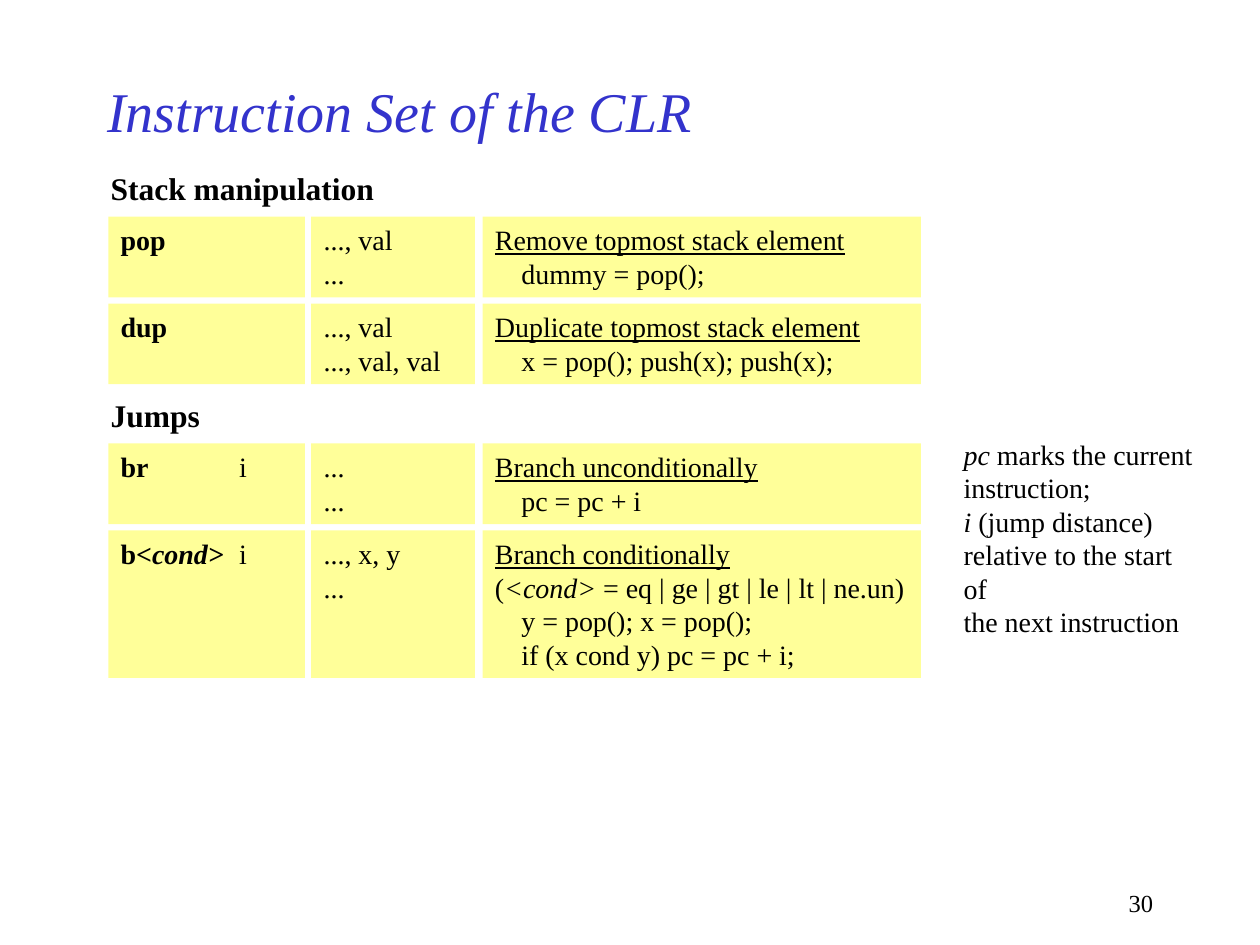
"""Build the slide on stack and jump instructions of the CLR."""
from dataclasses import dataclass

import pptx
import pptx.dml.color
import pptx.enum.shapes
import pptx.enum.text
import pptx.oxml
import pptx.oxml.ns
import pptx.util
from lxml import etree

Inches = pptx.util.Inches
Pt = pptx.util.Pt
ALIGN = pptx.enum.text.PP_ALIGN
ANCHOR = pptx.enum.text.MSO_ANCHOR
qn = pptx.oxml.ns.qn


@dataclass(frozen=True)
class Theme:
    """Font, colours and type sizes of the slide."""
    font: str = "Times New Roman"
    title: str = "3333CC"
    ink: str = "000000"
    cell: str = "FFFF99"
    title_size: int = 32
    heading_size: int = 18
    body_size: int = 16
    number_size: int = 14


THEME = Theme()
COLUMNS = ((0.86, 1.56, 0.94), (2.47, 1.3, None), (3.83, 3.48, 0.21))
HEADING_LEFT = 0.78
HEADING_DROP = 0.43
ROW_GAP = 0.05

SECTIONS = (
    ("Stack manipulation", 1.29, (
        (0.64, (
            [[("pop", "b")]],
            [[("..., val", "")], [("...", "")]],
            [[("Remove topmost stack element", "u")],
             [("\tdummy = pop();", "")]])),
        (0.64, (
            [[("dup", "b")]],
            [[("..., val", "")], [("..., val, val", "")]],
            [[("Duplicate topmost stack element", "u")],
             [("\tx = pop(); push(x); push(x);", "")]])),
    )),
    ("Jumps", 3.09, (
        (0.64, (
            [[("br\t", "b"), ("i", "")]],
            [[("...", "")], [("...", "")]],
            [[("Branch unconditionally", "u")],
             [("\tpc = pc + i", "")]])),
        (1.17, (
            [[("b", "b"), ("<cond>\t", "bi"), ("i", "")]],
            [[("..., x, y", "")], [("...", "")]],
            [[("Branch conditionally", "u")],
             [("(", ""), ("<cond>", "i"),
              (" = eq | ge | gt | le | lt | ne.un)", "")],
             [("\ty = pop(); x = pop();", "")],
             [("\tif (x cond y) pc = pc + i;", "")]])),
    )),
)

JUMP_NOTE = [
    [("pc", "i"), (" marks the current\ninstruction;", "")],
    [("i", "i"),
     (" (jump distance)\nrelative to the start of\nthe next instruction", "")],
]


def style_run(run, size, color, style=""):
    """Format a run; style holds any of the letters b, i and u."""
    run.font.name = THEME.font
    run.font.size = Pt(size)
    run.font.color.rgb = pptx.dml.color.RGBColor.from_string(color)
    run.font.bold = "b" in style
    run.font.italic = "i" in style
    run.font.underline = "u" in style


def add_tab_stop(paragraph, position):
    """Give a paragraph one left tab stop."""
    stops = etree.SubElement(paragraph._p.get_or_add_pPr(), qn("a:tabLst"))
    etree.SubElement(stops, qn("a:tab"), pos=str(Inches(position)), algn="l")


def add_break(paragraph, size):
    """Add a line break that has the height of the text around it."""
    paragraph.add_line_break()
    line_break = paragraph._p.findall(qn("a:br"))[-1]
    etree.SubElement(line_break, qn("a:rPr"), sz=str(size * 100))


def write(frame, lines, size, tab=None, align=ALIGN.LEFT):
    """Fill a text frame with paragraphs of styled pieces."""
    for index, pieces in enumerate(lines):
        paragraph = frame.paragraphs[0] if index == 0 else frame.add_paragraph()
        paragraph.alignment = align
        if tab:
            add_tab_stop(paragraph, tab)
        for words, style in pieces:
            for part, text in enumerate(words.split("\n")):
                if part:
                    add_break(paragraph, size)
                run = paragraph.add_run()
                run.text = text
                style_run(run, size, THEME.ink, style)


def add_title(slide, text):
    """Place and format the title placeholder."""
    title = slide.shapes.title
    title.left, title.top = Inches(0.75), Inches(0.5)
    title.width, title.height = Inches(7.5), Inches(0.75)
    frame = title.text_frame
    frame.text = text
    frame.auto_size = pptx.enum.text.MSO_AUTO_SIZE.NONE
    frame.vertical_anchor = ANCHOR.MIDDLE
    frame.paragraphs[0].alignment = ALIGN.LEFT
    style_run(frame.paragraphs[0].runs[0], THEME.title_size, THEME.title, "i")


def add_label(slide, box, lines, size, wrap=False, align=ALIGN.LEFT):
    """Add a text box without a fill."""
    label = slide.shapes.add_textbox(*map(Inches, box))
    label.text_frame.word_wrap = wrap
    write(label.text_frame, lines, size, align=align)


def add_cell(slide, box, lines, tab):
    """Add one filled cell of an instruction row."""
    cell = slide.shapes.add_shape(
        pptx.enum.shapes.MSO_SHAPE.RECTANGLE, *map(Inches, box))
    cell.shadow.inherit = False
    cell.fill.solid()
    cell.fill.fore_color.rgb = pptx.dml.color.RGBColor.from_string(THEME.cell)
    cell.line.fill.background()
    frame = cell.text_frame
    frame.word_wrap = True
    frame.vertical_anchor = ANCHOR.TOP
    if tab is None:
        frame.margin_right = Inches(0.02)
    elif lines[0][0][1] == "u":
        frame.margin_right = Inches(0.02)
    write(frame, lines, THEME.body_size, tab)


def add_section(slide, heading, top, rows):
    """Add a heading and its instruction rows, stacked with equal gaps."""
    add_label(slide, (HEADING_LEFT, top, 2.29, 0.4), [[(heading, "b")]],
              THEME.heading_size)
    row_top = top + HEADING_DROP
    for height, cells in rows:
        for (left, width, tab), lines in zip(COLUMNS, cells):
            add_cell(slide, (left, row_top, width, height), lines, tab)
        row_top += height + ROW_GAP


def main():
    """Build and save the slide."""
    deck = pptx.Presentation()
    deck.slide_width, deck.slide_height = Inches(10), Inches(7.5)
    slide = deck.slides.add_slide(deck.slide_layouts.get_by_name("Title Only"))
    add_title(slide, "Instruction Set of the CLR")
    for heading, top, rows in SECTIONS:
        add_section(slide, heading, top, rows)
    add_label(slide, (7.55, 3.42, 2.09, 1.44), JUMP_NOTE, THEME.body_size)
    add_label(slide, (7.17, 7, 2.08, 0.33), [[("30", "")]], THEME.number_size,
              wrap=True, align=ALIGN.RIGHT)
    deck.save("out.pptx")


if __name__ == "__main__":
    main()
